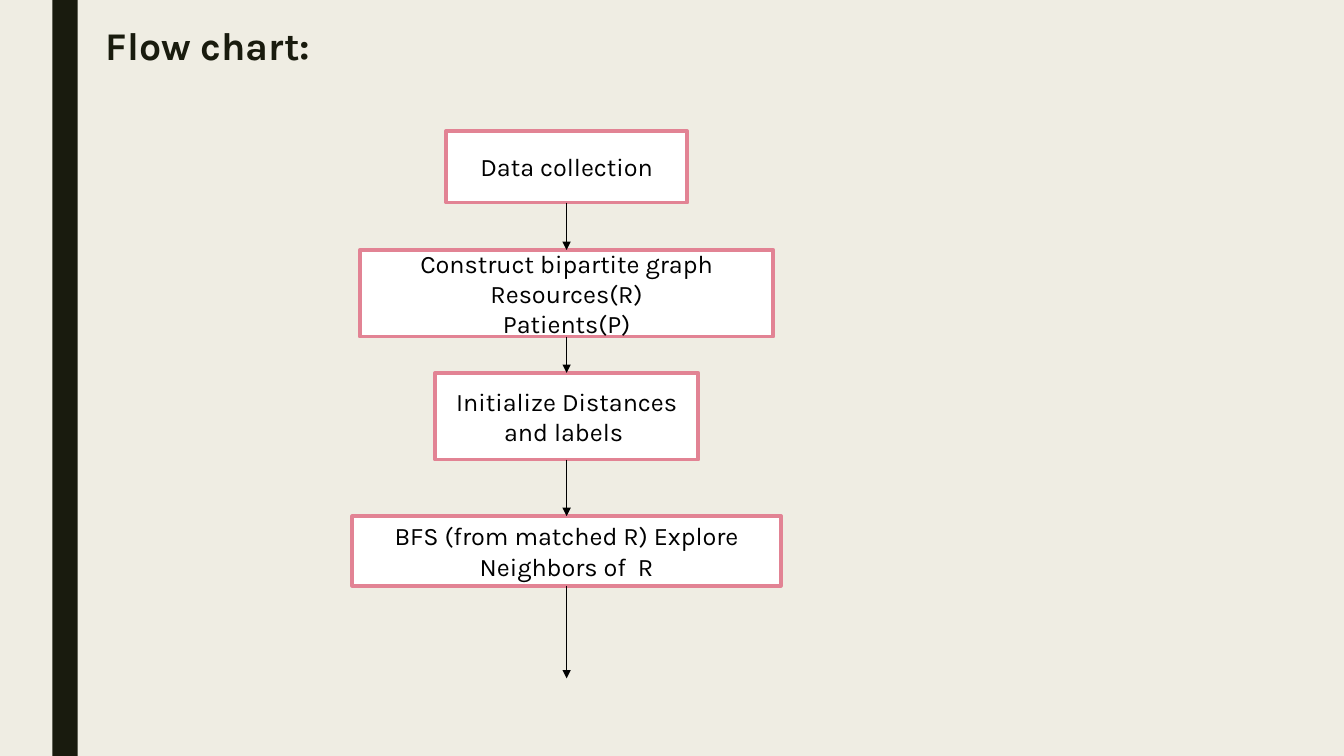
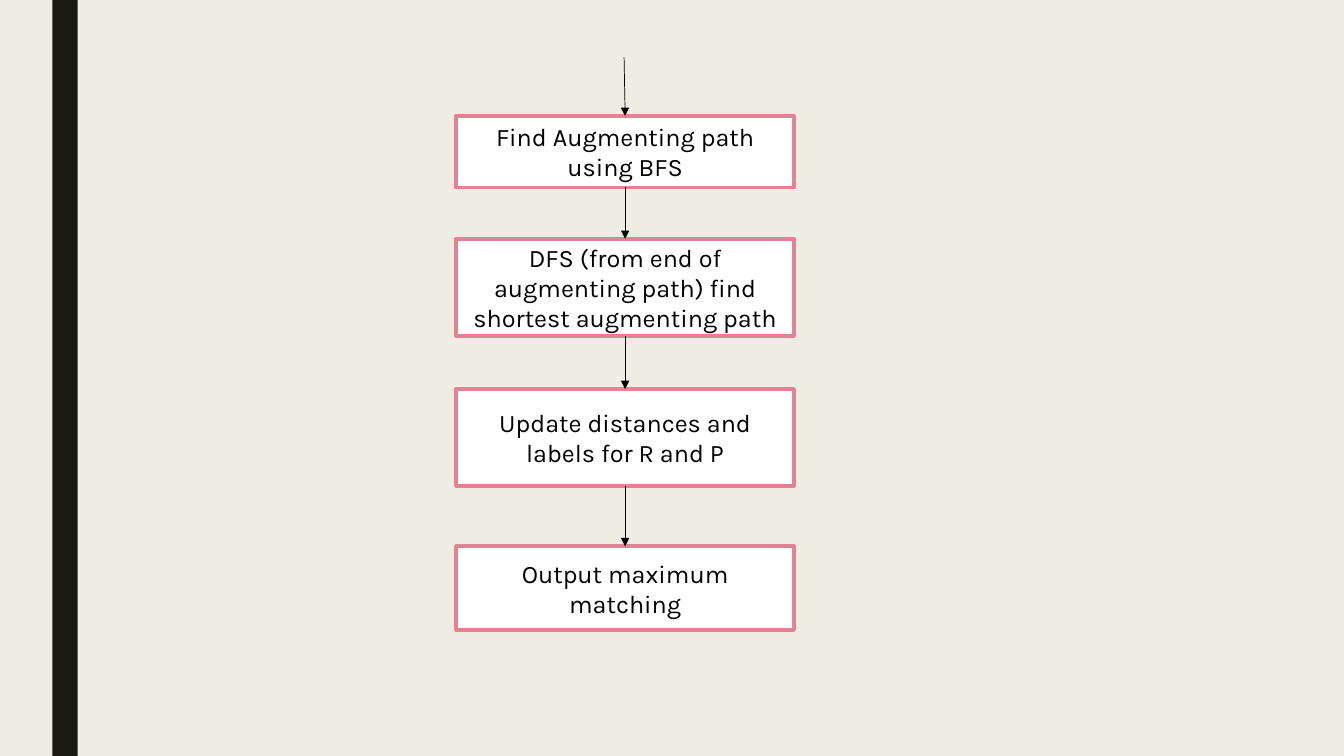
"""Build a two-slide flow chart of a bipartite matching method."""
from dataclasses import dataclass
from typing import Any, Optional

from lxml import etree
from pptx import Presentation
from pptx.dml.color import RGBColor
from pptx.enum import shapes, text
from pptx.oxml import ns
from pptx.util import Inches, Pt


@dataclass(frozen=True)
class Theme:
    paper: str = "EFEDE3"
    dark: str = "191B0E"
    fill: str = "FFFFFF"
    edge: str = "E28394"
    ink: str = "000000"
    font: str = "Karla"
    head: float = 28
    body: float = 18
    rim: float = 2.75
    line: float = 0.5


@dataclass(frozen=True)
class Step:
    label: str
    top: float
    wide: float
    high: float

    @property
    def base(self) -> float:
        return self.top + self.high


@dataclass(frozen=True)
class Page:
    mid: float
    steps: tuple[Step, ...]
    title: Optional[str] = None
    start: Optional[tuple[float, float]] = None
    end: Optional[float] = None


THEME = Theme()
WIDE = 3.35
PAGES = (
    Page(5.62, (
        Step("Data collection", 1.3, 2.39, 0.71),
        Step("Construct bipartite graph\nResources(R)\nPatients(P)", 2.48, 4.1, 0.86),
        Step("Initialize Distances and labels ", 3.7, 2.61, 0.86),
        Step("BFS (from matched R) Explore Neighbors of  R", 5.12, 4.25, 0.69),
    ), title="Flow chart:", end=6.73),
    Page(6.2, (
        Step("Find Augmenting path using BFS", 1.15, WIDE, 0.71),
        Step("DFS (from end of augmenting path) find shortest augmenting path",
             2.37, WIDE, 0.96),
        Step("Update distances and labels for R and P", 3.86, WIDE, 0.96),
        Step("Output maximum matching", 5.42, WIDE, 0.83),
    ), start=(6.19, 0.57)),
)


def tint(code: str) -> RGBColor:
    return RGBColor.from_string(code)


def write(frame: Any, words: str, *, size: float = THEME.body,
          color: str = THEME.ink, bold: bool = False,
          align: Any = text.PP_ALIGN.CENTER,
          anchor: Any = text.MSO_ANCHOR.MIDDLE,
          space: Optional[float] = None) -> None:
    frame.word_wrap = True
    frame.vertical_anchor = anchor
    frame.text = words
    for para in frame.paragraphs:
        para.alignment = align
        para.line_spacing = space
        for run in para.runs:
            font = run.font
            font.name, font.size, font.bold = THEME.font, Pt(size), bold
            font.color.rgb = tint(color)


def block(slide: Any, left: float, top: float, wide: float, high: float,
          fill: str, edge: Optional[str] = None) -> Any:
    shape = slide.shapes.add_shape(
        shapes.MSO_SHAPE.RECTANGLE,
        Inches(left), Inches(top), Inches(wide), Inches(high))
    shape.shadow.inherit = False
    shape.fill.solid()
    shape.fill.fore_color.rgb = tint(fill)
    if edge:
        shape.line.color.rgb = tint(edge)
        shape.line.width = Pt(THEME.rim)
    else:
        shape.line.fill.background()
    return shape


def arrow(slide: Any, x1: float, y1: float, x2: float, y2: float) -> None:
    link = slide.shapes.add_connector(
        shapes.MSO_CONNECTOR.STRAIGHT,
        Inches(x1), Inches(y1), Inches(x2), Inches(y2))
    link.line.color.rgb = tint(THEME.ink)
    link.line.width = Pt(THEME.line)
    tail = etree.SubElement(link.line._get_or_add_ln(), ns.qn("a:tailEnd"))
    tail.set("type", "triangle")
    etree.SubElement(link._element.spPr, ns.qn("a:effectLst"))


def draw(deck: Any, page: Page) -> None:
    slide = deck.slides.add_slide(deck.slide_layouts[6])
    block(slide, 0.52, 0, 0.25, 7.5, THEME.dark)
    if page.title:
        box = slide.shapes.add_textbox(
            Inches(0.95), Inches(0.22), Inches(11), Inches(1.5))
        write(box.text_frame, page.title, size=THEME.head, color=THEME.dark,
              bold=True, align=text.PP_ALIGN.LEFT,
              anchor=text.MSO_ANCHOR.TOP, space=0.89)
    for step in page.steps:
        shape = block(slide, page.mid - step.wide / 2, step.top,
                      step.wide, step.high, THEME.fill, THEME.edge)
        write(shape.text_frame, step.label)
    if page.start:
        arrow(slide, *page.start, page.mid, page.steps[0].top)
    for above, below in zip(page.steps, page.steps[1:]):
        arrow(slide, page.mid, above.base, page.mid, below.top)
    if page.end:
        arrow(slide, page.mid, page.steps[-1].base, page.mid, page.end)


def main() -> None:
    deck = Presentation()
    deck.slide_width, deck.slide_height = Inches(13.33), Inches(7.5)
    back = deck.slide_master.background.fill
    back.solid()
    back.fore_color.rgb = tint(THEME.paper)
    for page in PAGES:
        draw(deck, page)
    deck.save("out.pptx")


if __name__ == "__main__":
    main()
